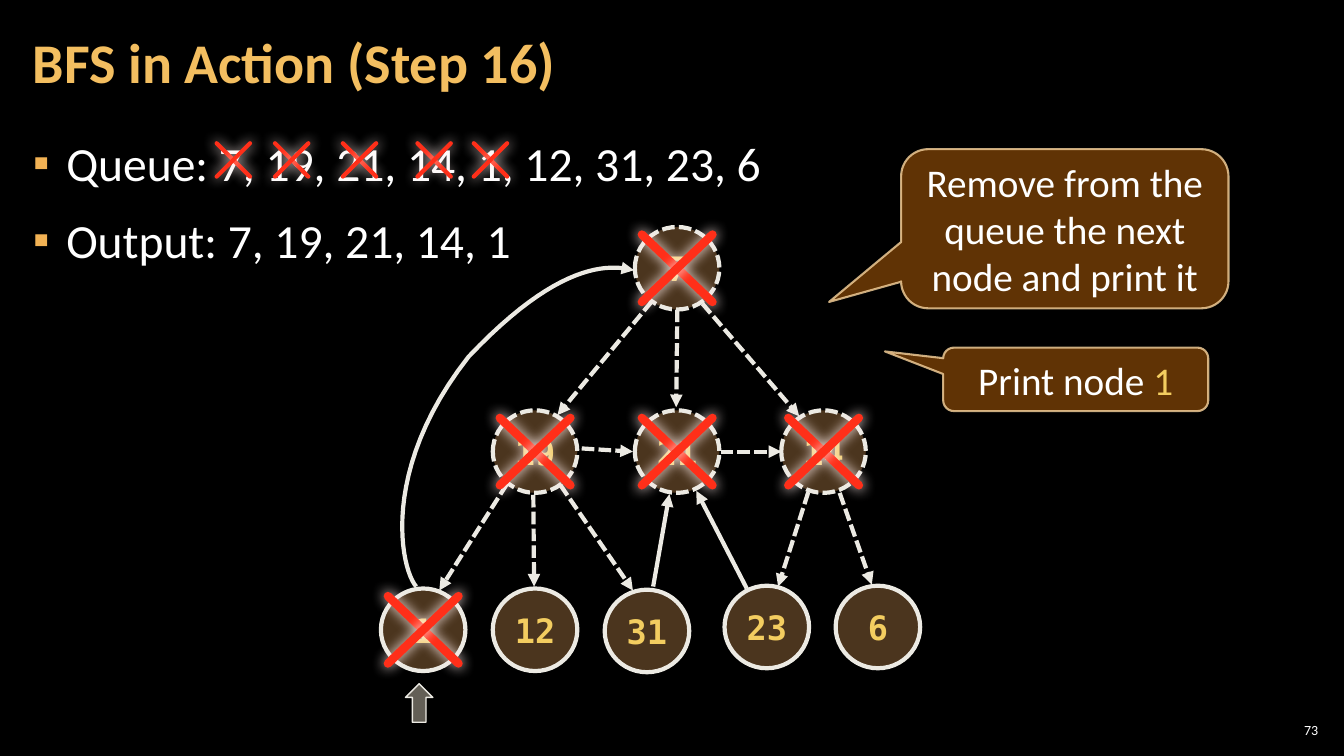
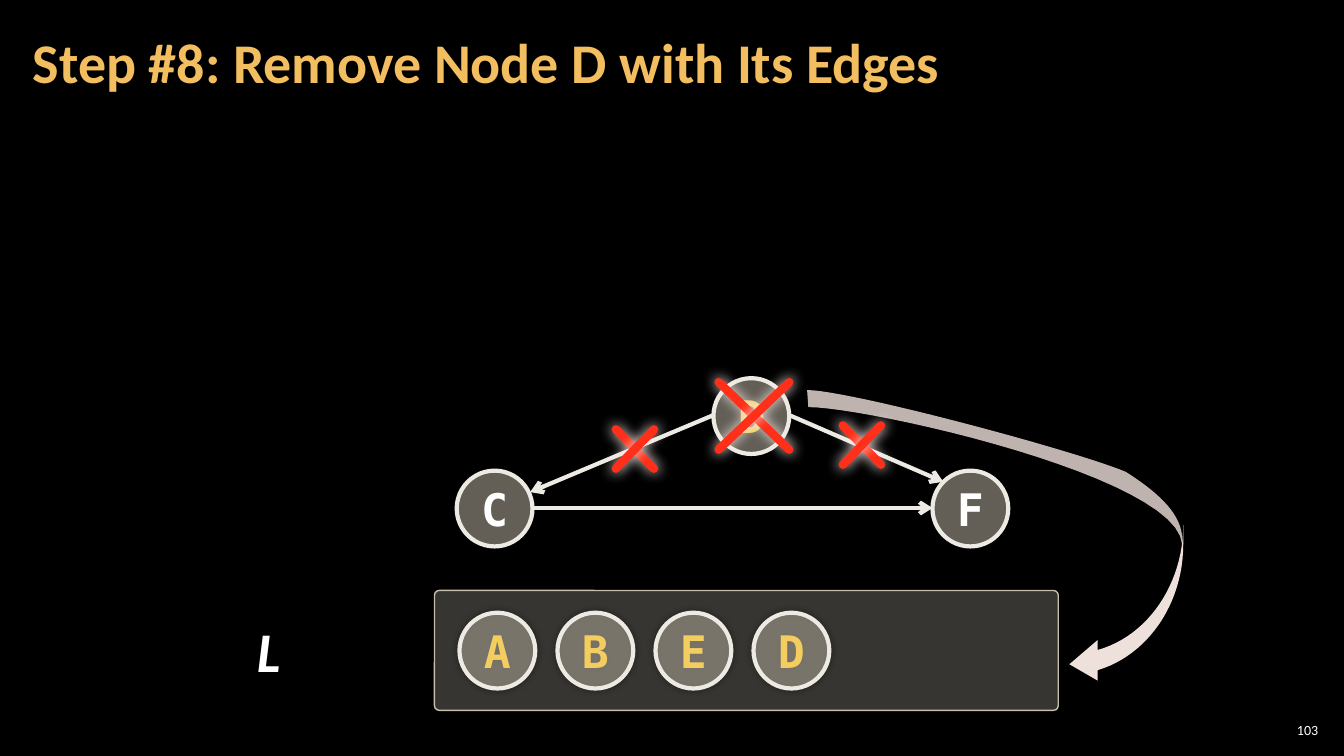
from lxml.etree import SubElement as Sub
from pptx import Presentation
from pptx.dml.color import RGBColor as Rgb
from pptx.enum.dml import MSO_LINE as Dash
from pptx.enum.shapes import MSO_CONNECTOR as Conn, MSO_SHAPE as Kind
from pptx.enum.text import MSO_ANCHOR as Anchor, MSO_AUTO_SIZE as Fit, PP_ALIGN as Align
from pptx.oxml.ns import qn
from pptx.util import Cm, Pt

HUES = {
    "back": "000000", "text": "FFFFFF", "title": "F3BE60", "mark": "F2B254",
    "gold": "F3CD60", "line": "ECEAE3", "brown": "6C4C2C", "stone": "C7BFAC",
    "call": "663606", "edge": "F8D49E", "red": "FF2F19", "glow": "FFEDEB",
    "tray": "D9D5C7", "light": "EEE0DB", "dark": "BFB3AF",
}
SANS, MONO = "Calibri", "DejaVu Sans Mono"

BULLETS = ["Queue: 7, 19, 21, 14, 1, 12, 31, 23, 6", "Output: 7, 19, 21, 14, 1"]
TREE_SIZE = (2.13, 2.08)
TREE = {
    "7": (16, 5.72), "19": (12.42, 10.34), "21": (16, 10.34), "14": (19.69, 10.34),
    "1": (9.6, 14.83), "12": (12.42, 14.83), "31": (15.24, 14.86),
    "23": (18.26, 14.76), "6": (21.06, 14.76),
}
DASHED = ["7", "19", "21", "14"]
GONE = DASHED + ["1"]
DASH_EDGES = [
    (16.43, 7.59, 14.05, 10.46), (17.07, 7.8, 17.04, 10.26), (17.7, 7.65, 20.14, 10.49),
    (14.66, 11.3, 15.95, 11.38), (18.16, 11.38, 19.69, 11.38),
    (20.37, 12.4, 19.61, 14.78), (21.16, 12.42, 21.97, 14.73),
    (12.78, 12.19, 11.07, 14.88), (14.12, 12.22, 15.95, 14.88), (13.44, 12.47, 13.46, 14.78),
]
BACK_EDGES = [(16.46, 14.78, 16.87, 12.45), (18.82, 14.83, 17.55, 12.37)]
LOOP = [(10.49, 14.78),
        (10.11, 14.35, 9.55, 11.86, 11.81, 8.99),
        (14.07, 6.6, 15.34, 6.65, 15.98, 6.81)]
STRIKES = [5.46, 6.93, 8.64, 10.52, 11.94]
CALLS = [
    ((22.71, 3.76, 8.25, 4.01), (-0.72, 0.46, 0.17),
     [("Remove from the queue the next node and print it", "text")]),
    ((23.77, 8.76, 6.68, 1.6), (-0.72, -0.44, 0.17),
     [("Print node ", "text"), ("1", "gold")]),
]

DISC = (1.91, 1.91)
GRAPH = [("C", (11.51, 11.86), "text"), ("D", (17.98, 9.53), "gold"), ("F", (23.5, 11.86), "text")]
GRAPH_EDGES = [(19.89, 10.46, 23.77, 12.14), (17.98, 10.46, 13.36, 12.4), (13.41, 12.8, 23.5, 12.8)]
LIST = ["A", "B", "E", "D"]
LIST_LEFT, LIST_TOP, LIST_STEP = 11.58, 15.44, 2.47
CUTS = [(18.11, 9.63, 1.78, 1.7), (15.52, 10.82, 0.96, 0.99), (21.24, 10.72, 0.96, 0.99)]
SWOOSH = [
    ("light", [(29.82, 13.23), (29.82, 14.71, 28.93, 16.03, 27.66, 16.38), (27.66, 16.13),
               (26.95, 16.74), (27.66, 17.15), (27.66, 16.89),
               (28.93, 16.51, 29.82, 15.21, 29.82, 13.72)]),
    ("dark", [(20.37, 10.26), (21.87, 10.26, 29.69, 12.01, 29.79, 13.72),
              (29.85, 13.11, 29.41, 12.55, 28.37, 11.89),
              (27.08, 11.35, 21.39, 9.83, 20.34, 9.83)]),
]


def hue(name):
    return Rgb.from_string(HUES[name])


def fade(node, part):
    Sub(node.find(".//" + qn("a:srgbClr")), qn("a:alpha"), val=str(part * 1000))


def shade(shape, name=None, part=100, blur=0):
    fx = Sub(shape.element.spPr, qn("a:effectLst"))
    if name:
        cast = Sub(fx, qn("a:outerShdw"), blurRad=str(Pt(blur)), dist="0", dir="5400000",
                   algn="ctr", rotWithShape="0")
        Sub(cast, qn("a:srgbClr"), val=HUES[name])
        fade(cast, part)


def stroke(shape, name, width, dash=False):
    shape.line.color.rgb = hue(name)
    shape.line.width = Pt(width)
    if dash:
        shape.line.dash_style = Dash.SQUARE_DOT
    return shape.element.spPr.find(qn("a:ln"))


def write(para, runs, size, font=SANS, bold=False, slant=False):
    for text, name in runs:
        run = para.add_run()
        run.text = text
        run.font.size, run.font.name = Pt(size), font
        run.font.bold, run.font.italic = bold, slant
        run.font.color.rgb = hue(name)


def frame(shape, pads=None, wrap=True, anchor=Anchor.MIDDLE):
    body = shape.text_frame
    body.word_wrap, body.auto_size = wrap, Fit.NONE
    body.vertical_anchor = anchor
    if pads:
        body.margin_left = body.margin_right = Cm(pads[0])
        body.margin_top = body.margin_bottom = Cm(pads[1])
    return body


def place(shape, box):
    shape.left, shape.top, shape.width, shape.height = map(Cm, box)


def block(slide, kind, box, fill, part, line, width, dash=False):
    shape = slide.shapes.add_shape(kind, *map(Cm, box))
    shape.fill.solid()
    shape.fill.fore_color.rgb = hue(fill)
    fade(shape.element.spPr, part)
    stroke(shape, line, width, dash)
    return shape


def label(shape, runs, size, font=SANS, bold=False, wrap=True):
    para = frame(shape, wrap=wrap).paragraphs[0]
    para.alignment = Align.CENTER
    write(para, runs, size, font, bold)


def node(slide, text, spot, size, fill, part, ink, points, dash=False, cast=()):
    disc = block(slide, Kind.OVAL, spot + size, fill, part, "line", 3, dash)
    shade(disc, *cast)
    label(disc, [(text, ink)], points, MONO, True, False)


def tip(line, head):
    Sub(line, qn("a:tailEnd"), type=head)


def link(slide, ends, head, dash=False):
    wire = slide.shapes.add_connector(Conn.STRAIGHT, *map(Cm, ends))
    tip(stroke(wire, "line", 3, dash), head)
    shade(wire)


def cross(slide, left, top, wide, high, width):
    for start, end in ((left, left + wide), (left + wide, left)):
        bar = slide.shapes.add_connector(Conn.STRAIGHT, Cm(start), Cm(top), Cm(end), Cm(top + high))
        stroke(bar, "red", width).set("cap", "rnd")
        shade(bar, "glow", 100, 10)


def trace(parts, steps=24):
    spots = [parts[0]]
    for part in parts[1:]:
        if len(part) == 2:
            spots.append(part)
            continue
        knots = [spots[-1], part[:2], part[2:4], part[4:]]
        for step in range(1, steps + 1):
            t = step / steps
            mix = ((1 - t) ** 3, 3 * t * (1 - t) ** 2, 3 * t * t * (1 - t), t ** 3)
            spots.append(tuple(sum(m * k[axis] for m, k in zip(mix, knots)) for axis in (0, 1)))
    return [(Cm(x), Cm(y)) for x, y in spots]


def curve(slide, parts, close):
    spots = trace(parts)
    pen = slide.shapes.build_freeform(*spots[0])
    pen.add_line_segments(spots[1:], close=close)
    return pen.convert_to_shape()


def start(deck, layout, title, number):
    slide = deck.slides.add_slide(deck.slide_layouts[layout])
    place(slide.shapes.title, (0.53, 0.1, 26.59, 3.07))
    para = frame(slide.shapes.title, (0.3, 0.1)).paragraphs[0]
    para.alignment, para.line_spacing = Align.LEFT, 0.9
    write(para, [(title, "title")], 40, bold=True)
    foot = slide.shapes.add_textbox(*map(Cm, (32.13, 18.14, 1.19, 0.53)))
    para = frame(foot, (0.1, 0.1)).paragraphs[0]
    para.alignment = Align.RIGHT
    write(para, [(number, "text")], 10)
    return slide


def points(shape):
    place(shape, (0.53, 3.2, 32.79, 15.47))
    body = frame(shape, (0.3, 0.1), anchor=Anchor.TOP)
    for index, text in enumerate(BULLETS):
        para = body.add_paragraph() if index else body.paragraphs[0]
        props = para._p.get_or_add_pPr()
        props.set("marL", str(Cm(0.84)))
        props.set("indent", str(-Cm(0.84)))
        Sub(Sub(props, qn("a:buClr")), qn("a:srgbClr"), val=HUES["mark"])
        Sub(props, qn("a:buChar"), char="▪")
        para.line_spacing = 1.05
        para.space_before, para.space_after = Pt(6 if index else 0), Pt(6)
        write(para, [(text, "text")], 34)


def search(deck):
    slide = start(deck, 1, "BFS in Action (Step 16)", "73")
    points(slide.placeholders[1])
    for left in STRIKES:
        cross(slide, left, 3.61, 0.84, 0.84, 3)
    shade(block(slide, Kind.UP_ARROW, (10.22, 17.23, 0.69, 0.97), "stone", 50, "line", 1))
    for text, spot in TREE.items():
        node(slide, text, spot, TREE_SIZE, "brown", 70, "gold", 24, text in DASHED)
    for ends in DASH_EDGES:
        link(slide, ends, "triangle", True)
    for ends in BACK_EDGES:
        link(slide, ends, "triangle")
    loop = curve(slide, LOOP, False)
    loop.fill.background()
    tip(stroke(loop, "line", 3), "triangle")
    shade(loop)
    wide, high = 1.78, 1.7
    for text in GONE:
        left, top = TREE[text]
        cross(slide, left + (TREE_SIZE[0] - wide) / 2, top + (TREE_SIZE[1] - high) / 2, wide, high, 6)
    for box, bends, runs in CALLS:
        call = block(slide, Kind.ROUNDED_RECTANGULAR_CALLOUT, box, "call", 95, "edge", 1.5)
        fade(call.element.spPr.find(qn("a:ln")), 80)
        for index, bend in enumerate(bends):
            call.adjustments[index] = bend
        shade(call)
        label(call, runs, 28)


def remove(deck):
    slide = start(deck, 5, "Step #8: Remove Node D with Its Edges", "103")
    tray = block(slide, Kind.ROUNDED_RECTANGLE, (10.95, 14.88, 15.72, 3.02), "tray", 25, "stone", 1)
    tray.adjustments[0] = 0.04
    shade(tray)
    for text, spot, ink in GRAPH:
        node(slide, text, spot, DISC, "stone", 50, ink, 32)
    for ends in GRAPH_EDGES:
        link(slide, ends, "arrow")
    name = slide.shapes.add_textbox(*map(Cm, (5.72, 15.44, 2.11, 1.88)))
    para = frame(name).paragraphs[0]
    para.alignment = Align.CENTER
    write(para, [("L", "text")], 40, bold=True, slant=True)
    for index, text in enumerate(LIST):
        spot = (LIST_LEFT + index * LIST_STEP, LIST_TOP)
        node(slide, text, spot, DISC, "stone", 50, "gold", 32, cast=("back", 40, 5))
    for fill, parts in SWOOSH:
        ribbon = curve(slide, parts, True)
        ribbon.fill.solid()
        ribbon.fill.fore_color.rgb = hue(fill)
        ribbon.line.fill.background()
        shade(ribbon)
    for box in CUTS:
        cross(slide, *box, 6)


def main():
    deck = Presentation()
    deck.slide_width, deck.slide_height = Cm(33.87), Cm(19.05)
    back = deck.slide_master.background.fill
    back.solid()
    back.fore_color.rgb = hue("back")
    search(deck)
    remove(deck)
    deck.save("out.pptx")


if __name__ == "__main__":
    main()
